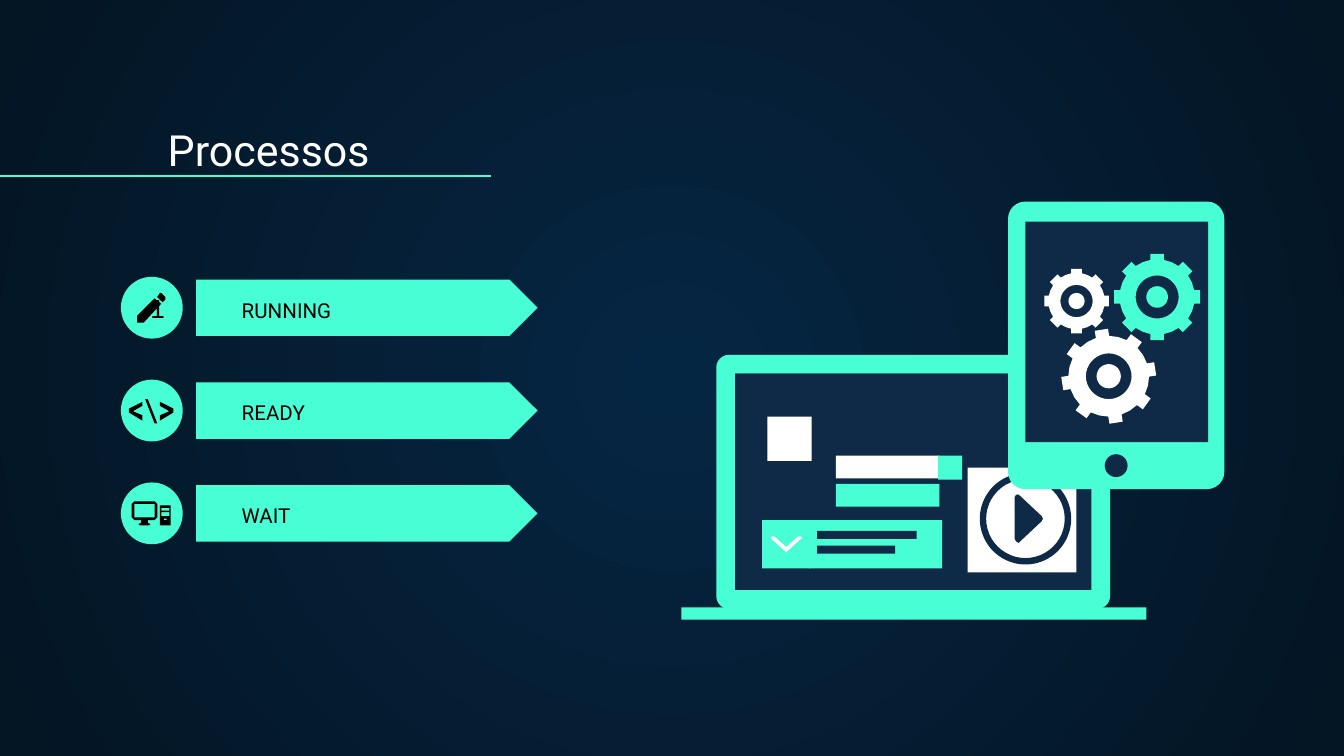
from math import cos, sin, radians, sqrt
from lxml import etree
from pptx import Presentation
from pptx.dml.color import RGBColor as RGB
from pptx.enum.shapes import MSO_CONNECTOR as Connector, MSO_SHAPE as Preset
from pptx.enum.text import MSO_ANCHOR as Anchor, PP_ALIGN as Align
from pptx.oxml.ns import qn
from pptx.util import Inches, Pt

THEME = {
    "mint": "48FFD5", "navy": "0E2A47", "white": "FFFFFF", "black": "000000",
    "glow": "052643", "edge": "041523",
    "font": "Roboto", "icon_font": "Arial",
    "title": 23, "label": 11, "icon": 14, "line": 0.75,
}

# Content
SLIDE_WIDTH = 10
SLIDE_HEIGHT = SLIDE_WIDTH * 9 / 16
TITLE = "Processos"
STATES = [("RUNNING", 2.27), ("READY", 2.54), ("WAIT", 2.27)]  # label, text width
FIRST_TOP, LAST_TOP = 2.06, 3.59

# Icons: each shape is a list of contours, inner contours are holes
PENCIL = [
    [(1.19, 2.18), (1.17, 2.21), (1.21, 2.25), (1.23, 2.23), (1.23, 2.21), (1.2, 2.18)],
    [(1.15, 2.22), (1.02, 2.35), (1.02, 2.4), (1.07, 2.4), (1.2, 2.26)],
]
CODE = [
    [[(1.06, 3.13), (0.96, 3.07), (0.96, 3.04), (1.06, 2.99), (1.06, 3.02), (0.99, 3.06), (1.06, 3.09)]],
    [[(1.15, 3.15), (1.08, 2.97), (1.1, 2.97), (1.17, 3.15)]],
    [[(1.19, 3.13), (1.19, 3.09), (1.26, 3.06), (1.19, 3.02), (1.19, 2.99), (1.29, 3.04), (1.29, 3.07)]],
]


def box(left, top, right, bottom):
    return [(left, top), (right, top), (right, bottom), (left, bottom)]


COMPUTER = [
    [[(1, 3.73), (0.98, 3.75), (0.98, 3.85), (1, 3.87), (1.05, 3.87), (1.05, 3.89),
      (1.03, 3.9), (1.04, 3.91), (1.11, 3.91), (1.12, 3.9), (1.1, 3.89), (1.1, 3.87),
      (1.15, 3.87), (1.17, 3.85), (1.17, 3.75), (1.15, 3.73)],
     box(1, 3.75, 1.15, 3.85)],
    [box(1.19, 3.76, 1.27, 3.91), box(1.2, 3.78, 1.26, 3.8),
     box(1.2, 3.81, 1.26, 3.84), box(1.22, 3.86, 1.24, 3.87)],
]
CHECK = [(5.95, 3.99), (5.94, 3.99), (5.85, 4.07), (5.76, 3.99), (5.75, 3.99), (5.74, 3.99),
         (5.74, 4.01), (5.84, 4.1), (5.85, 4.11), (5.86, 4.1), (5.96, 4.01), (5.97, 4)]
PLAY = [(7.58, 3.68), (7.56, 3.68), (7.55, 3.7), (7.55, 4.01), (7.56, 4.03), (7.58, 4.04),
        (7.59, 4.03), (7.75, 3.88), (7.76, 3.86), (7.75, 3.84), (7.59, 3.69)]

# Devices: preset, left, top, width, height, colour, adjustment
LAPTOP = [
    (Preset.ROUNDED_RECTANGLE, 5.33, 2.64, 2.93, 1.89, "mint", 0.05),
    (Preset.RECTANGLE, 5.47, 2.78, 2.65, 1.61, "navy", None),
    (Preset.RECTANGLE, 5.07, 4.52, 3.46, 0.09, "mint", None),
    (Preset.RECTANGLE, 5.47, 2.78, 2.65, 0.15, "navy", None),
    (Preset.RECTANGLE, 5.71, 3.1, 0.33, 0.33, "white", None),
    (Preset.RECTANGLE, 6.02, 3.87, 0.99, 0.36, "mint", None),
    (Preset.RECTANGLE, 6.08, 3.95, 0.74, 0.06, "navy", None),
    (Preset.RECTANGLE, 6.08, 4.06, 0.58, 0.06, "navy", None),
    (Preset.RECTANGLE, 5.67, 3.87, 0.36, 0.36, "mint", None),
    (Preset.RECTANGLE, 6.22, 3.6, 0.77, 0.17, "mint", None),
    (Preset.RECTANGLE, 6.22, 3.39, 0.77, 0.17, "white", None),
    (Preset.RECTANGLE, 6.98, 3.39, 0.18, 0.18, "mint", None),
    (Preset.RECTANGLE, 7.2, 3.48, 0.81, 0.78, "white", None),
    (Preset.DONUT, 7.29, 3.52, 0.68, 0.68, "navy", 0.07),
]
TABLET = [
    (Preset.ROUNDED_RECTANGLE, 7.5, 1.5, 1.61, 2.14, "mint", 0.08),
    (Preset.RECTANGLE, 7.63, 1.65, 1.36, 1.64, "navy", None),
    (Preset.OVAL, 8.22, 3.38, 0.17, 0.17, "navy", None),
]
# Gears: centre x, centre y, tip, body, half tooth, hole, hub, turn, colour
GEARS = [
    (8.61, 2.21, 0.32, 0.28, 0.05, 0.16, 0.08, 0, "mint"),
    (8.01, 2.24, 0.24, 0.21, 0.04, 0.12, 0.06, 0, "white"),
    (8.25, 2.8, 0.35, 0.3, 0.05, 0.17, 0.09, -9, "white"),
]

presentation = Presentation()
presentation.slide_width, presentation.slide_height = Inches(SLIDE_WIDTH), Inches(SLIDE_HEIGHT)
slide = presentation.slides.add_slide(presentation.slide_layouts[6])


def color(name):
    return RGB.from_string(THEME[name])


def paint(shape, name):
    shape.shadow.inherit = False
    shape.fill.solid()
    shape.fill.fore_color.rgb = color(name)
    shape.line.fill.background()
    return shape


def add_preset(preset, left, top, width, height, name, adjustment=None):
    shape = slide.shapes.add_shape(preset, *map(Inches, (left, top, width, height)))
    if adjustment is not None:
        shape.adjustments[0] = adjustment
    return paint(shape, name)


def add_outline(contours, name):
    contours = [[(Inches(x), Inches(y)) for x, y in contour] for contour in contours]
    builder = slide.shapes.build_freeform(*contours[0][0], scale=1.0)
    for index, contour in enumerate(contours):
        if index:
            builder.move_to(*contour[0])
        builder.add_line_segments(contour[1:], close=True)
    return paint(builder.convert_to_shape(), name)


def write(shape, text, size, name, font="font", anchor=Anchor.BOTTOM):
    frame = shape.text_frame
    frame_format = {"word_wrap": True, "vertical_anchor": anchor}
    for side in ("left", "top", "right", "bottom"):
        frame_format[f"margin_{side}"] = Inches(0.1)
    for key, value in frame_format.items():
        setattr(frame, key, value)
    paragraph = frame.paragraphs[0]
    paragraph.alignment = Align.LEFT
    run = paragraph.add_run()
    run.text = text
    for key, value in {"name": THEME[font], "size": Pt(THEME[size])}.items():
        setattr(run.font, key, value)
    run.font.color.rgb = color(name)


def add_text(left, top, width, height, *text_format):
    write(slide.shapes.add_textbox(*map(Inches, (left, top, width, height))), *text_format)


def circle(x, y, radius):
    angles = [radians(step * 10) for step in range(36)]
    return [(x + radius * cos(a), y + radius * sin(a)) for a in angles]


def gear(x, y, tip, body, half, turn):
    root = sqrt(body ** 2 - half ** 2)
    points = []
    for tooth in range(8):
        angle = radians(turn + tooth * 45)
        for out, side in ((root, -half), (tip, -half), (tip, half), (root, half)):
            points.append((x + out * cos(angle) - side * sin(angle),
                           y + out * sin(angle) + side * cos(angle)))
        middle = angle + radians(22.5)
        points.append((x + body * cos(middle), y + body * sin(middle)))
    return points


# Background: round glow from the centre
background = slide.background.fill
background.gradient()
for stop, name, position in zip(background.gradient_stops, ("glow", "edge"), (0, 1)):
    stop.color.rgb = color(name)
    stop.position = position
gradient = slide.element.xpath(".//p:bg//a:gradFill")[0]
gradient.remove(gradient.find(qn("a:lin")))
glow_path = etree.SubElement(gradient, qn("a:path"), path="circle")
etree.SubElement(glow_path, qn("a:fillToRect"), dict.fromkeys("ltrb", "50000"))

# Title and rule
add_text(1.15, 0.74, 8.57, 0.66, TITLE, "title", "white")
rule = slide.shapes.add_connector(Connector.STRAIGHT, 0, Inches(1.31), Inches(3.65), Inches(1.31))
rule.line.color.rgb = color("mint")
rule.line.width = Pt(THEME["line"])
etree.SubElement(rule.element.spPr, qn("a:effectLst"))

# Process states
state_step = (LAST_TOP - FIRST_TOP) / (len(STATES) - 1)
for row, (label, width) in enumerate(STATES):
    top = FIRST_TOP + row * state_step
    add_preset(Preset.PENTAGON, 1.46, top + 0.02, 2.54, 0.42, "mint", 0.5)
    add_text(1.7, top + 0.22, width, 0.21, label, "label", "black")
    add_preset(Preset.OVAL, 0.9, top, 0.46, 0.46, "mint")

# State icons
pencil = add_outline(PENCIL, "black")
write(pencil, "1", "icon", "black", "icon_font", Anchor.MIDDLE)
for contours in CODE + COMPUTER:
    add_outline(contours, "black")

# Laptop
for part in LAPTOP:
    add_preset(*part)
add_outline([CHECK], "white")
add_outline([PLAY], "navy")

# Tablet with gears
for part in TABLET:
    add_preset(*part)
for x, y, tip, body, half, hole, hub, turn, name in GEARS:
    add_outline([gear(x, y, tip, body, half, turn), circle(x, y, hole), circle(x, y, hub)], name)

presentation.save("out.pptx")
